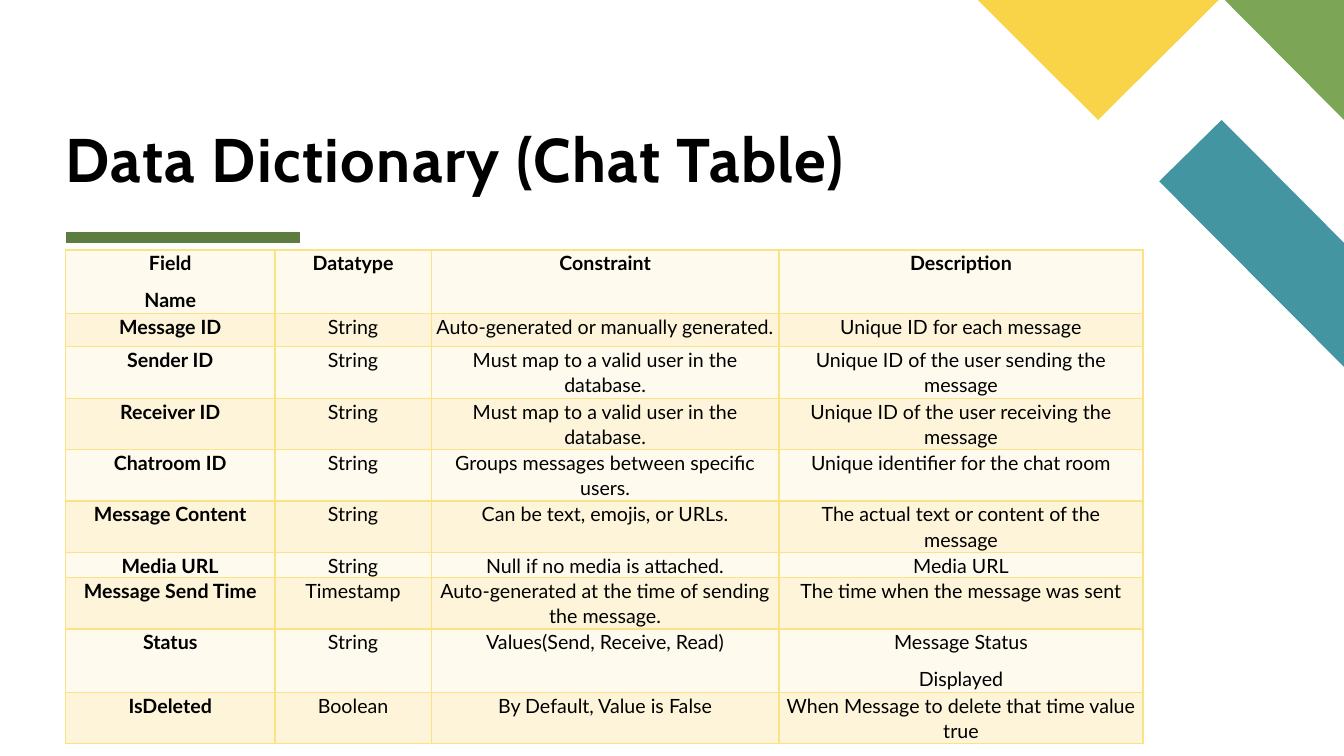
from lxml.etree import SubElement
from pptx import Presentation
from pptx.dml.color import RGBColor as RGB
from pptx.enum.shapes import MSO_CONNECTOR as CONN
from pptx.enum.text import MSO_ANCHOR as ANCHOR, PP_ALIGN as ALIGN
from pptx.oxml.ns import qn
from pptx.util import Inches, Pt

COLORS = {
    "white": "FFFFFF", "black": "000000", "teal": "4495A2",
    "green": "7CA655", "yellow": "F9D448", "rule": "5D7D40",
    "border": "FBE284", "light": "FEFAED", "dark": "FDF4D9",
}
LEFT = 4.88
CORNER = 15.87
COL_WIDTHS = [15.58, 11.63, 25.88, 27.08]
ONE_LINE, SPACED, TWO_LINES, TWO_PARAS = 3.33, 4.4, 6.8, 8.4
USER_RULE = "Must map to a valid user in the database."
FIELDS = [
    (TWO_PARAS, "Field\nName", "Datatype", "Constraint", "Description"),
    (SPACED, "Message ID", "String", "Auto-generated or manually generated.",
     "Unique ID for each message"),
    (TWO_LINES, "Sender ID", "String", USER_RULE,
     "Unique ID of the user sending the message"),
    (TWO_LINES, "Receiver ID", "String", USER_RULE,
     "Unique ID of the user receiving the message"),
    (TWO_LINES, "Chatroom ID", "String",
     "Groups messages between specific users.",
     "Unique identifier for the chat room"),
    (TWO_LINES, "Message Content", "String", "Can be text, emojis, or URLs.",
     "The actual text or content of the message"),
    (ONE_LINE, "Media URL", "String", "Null if no media is attached.",
     "Media URL"),
    (TWO_LINES, "Message Send Time", "Timestamp",
     "Auto-generated at the time of sending the message.",
     "The time when the message was sent"),
    (TWO_PARAS, "Status", "String", "Values(Send, Receive, Read)",
     "Message Status\nDisplayed"),
    (TWO_LINES, "IsDeleted", "Boolean", "By Default, Value is False",
     "When Message to delete that time value true"),
]


class Deck:
    def __init__(self):
        self.prs = Presentation()
        self.prs.slide_width = Inches(13.33)
        self.prs.slide_height = Inches(7.5)
        self.s = self.prs.slides.add_slide(self.prs.slide_layouts[6])
        self.fill(self.s.background.fill, "white")

    def x(self, share):
        return round(self.prs.slide_width * share / 100)

    def y(self, share):
        return round(self.prs.slide_height * share / 100)

    def box(self, left, top, width, height):
        return self.x(left), self.y(top), self.x(width), self.y(height)

    def fill(self, fill, color):
        fill.solid()
        fill.fore_color.rgb = RGB.from_string(COLORS[color])

    def run(self, p, text, font, size, bold):
        r = p.add_run()
        r.text = text
        r.font.name, r.font.size, r.font.bold = font, Pt(size), bold
        r.font.color.rgb = RGB.from_string(COLORS["black"])
        return r

    def polygon(self, points, color):
        pts = [(self.x(x), self.y(y)) for x, y in points]
        fb = self.s.shapes.build_freeform(*pts[0], scale=1.0)
        fb.add_line_segments(pts[1:], close=True)
        sp = fb.convert_to_shape()
        sp.shadow.inherit = False
        self.fill(sp.fill, color)
        sp.line.fill.background()

    def rule(self, left, right, top, color, width):
        y = self.y(top)
        ln = self.s.shapes.add_connector(
            CONN.STRAIGHT, self.x(left), y, self.x(right), y)
        ln.line.color.rgb = RGB.from_string(COLORS[color])
        ln.line.width = Pt(width)
        SubElement(ln._element.spPr, qn("a:effectLst"))

    def title(self, text, *place):
        tf = self.s.shapes.add_textbox(*self.box(*place)).text_frame
        tf.word_wrap = True
        tf.vertical_anchor = ANCHOR.BOTTOM
        tf.margin_left = tf.margin_right = tf.margin_top = tf.margin_bottom = 0
        p = tf.paragraphs[0]
        p.line_spacing = 0.8
        r = self.run(p, text, "Cabin", 44, True)
        r.font._element.set("spc", "100")

    def borders(self, cell):
        tcPr = cell._tc.get_or_add_tcPr()
        for side in ("lnL", "lnR", "lnT", "lnB"):
            ln = SubElement(tcPr, qn(f"a:{side}"), w=str(Pt(1)))
            solid = SubElement(ln, qn("a:solidFill"))
            SubElement(solid, qn("a:srgbClr"), val=COLORS["border"])

    def cell(self, cell, text, color, bold):
        self.borders(cell)
        self.fill(cell.fill, color)
        cell.margin_left = cell.margin_right = Inches(0.05)
        cell.margin_top = cell.margin_bottom = 0
        tf = cell.text_frame
        for i, line in enumerate(text.split("\n")):
            p = tf.add_paragraph() if i else tf.paragraphs[0]
            p.alignment = ALIGN.CENTER
            p.line_spacing = 1.07
            p.space_after = Pt(8)
            self.run(p, line, "Lato", 14, bold)

    def table(self, left, top, widths, rows):
        place = self.box(left, top, sum(widths), sum(r[0] for r in rows))
        tbl = self.s.shapes.add_table(len(rows), len(widths), *place).table
        tbl.first_row = tbl.horz_banding = False
        for col, width in zip(tbl.columns, widths):
            col.width = self.x(width)
        for i, (height, *texts) in enumerate(rows):
            tbl.rows[i].height = self.y(height)
            for j, text in enumerate(texts):
                color = "dark" if i % 2 else "light"
                self.cell(tbl.cell(i, j), text, color, i == 0 or j == 0)


def main():
    deck = Deck()
    deck.polygon([(86.25, 24), (90.9, CORNER), (100, 32.13), (100, 48.53)],
                 "teal")
    deck.polygon([(91.13, 0), (100, 0), (100, CORNER)], "green")
    deck.polygon([(72.75, 0), (90.68, 0), (81.7, CORNER)], "yellow")
    deck.rule(LEFT, 22.35, 31.4, "rule", 8)
    deck.title("Data Dictionary (Chat Table)", LEFT, 4, 80.2, 21.73)
    deck.table(LEFT, 33.07, COL_WIDTHS, FIELDS)
    deck.prs.save("out.pptx")


if __name__ == "__main__":
    main()
